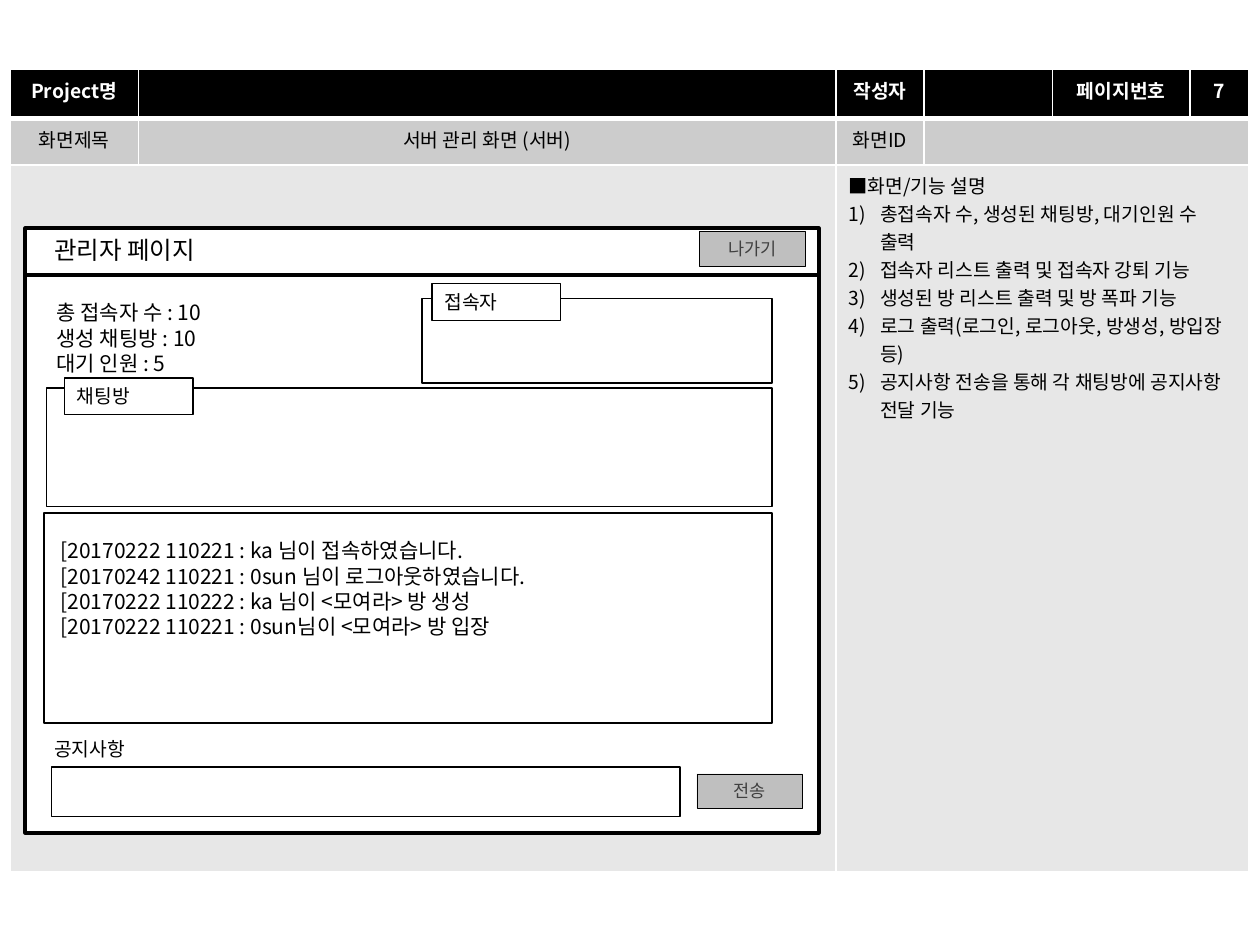
from lxml import etree
from pptx import Presentation
from pptx.dml.color import RGBColor
from pptx.enum.shapes import MSO_CONNECTOR, MSO_SHAPE
from pptx.enum.text import MSO_ANCHOR, PP_ALIGN
from pptx.oxml.ns import qn
from pptx.util import Cm, Pt

RECTANGLE = MSO_SHAPE.RECTANGLE
STRAIGHT = MSO_CONNECTOR.STRAIGHT
LEFT, CENTER = PP_ALIGN.LEFT, PP_ALIGN.CENTER
TOP, MIDDLE = MSO_ANCHOR.TOP, MSO_ANCHOR.MIDDLE


class Theme:
    font = "Noto Sans CJK KR"
    black = RGBColor(0x00, 0x00, 0x00)
    white = RGBColor(0xFF, 0xFF, 0xFF)
    heading_fill = RGBColor(0xCC, 0xCC, 0xCC)
    body_fill = RGBColor(0xE7, 0xE7, 0xE7)
    button_fill = RGBColor(0xBF, 0xBF, 0xBF)
    button_text = RGBColor(0x40, 0x40, 0x40)
    title_size, text_size, label_size, button_size = 14, 12, 11, 10
    line_factor = 1.2


def write(frame, lines, size, color=Theme.black, align=LEFT, bold=False, spacing=None):
    """Put each line in its own paragraph; spacing is a multiple of the type size."""
    frame.word_wrap = True
    for index, line in enumerate(lines):
        para = frame.paragraphs[0] if index == 0 else frame.add_paragraph()
        para.alignment = align
        if spacing:
            para.line_spacing = Pt(size * spacing)
        span = para.add_run()
        span.text = line
        span.font.name = Theme.font
        span.font.size = Pt(size)
        span.font.bold = bold
        span.font.color.rgb = color
        east_asian = etree.SubElement(span.font._element, qn("a:ea"))
        east_asian.set("typeface", Theme.font)


def add_box(shapes, area, fill=None, line_width=None):
    box = shapes.add_shape(RECTANGLE, *[Cm(length) for length in area])
    box.shadow.inherit = False
    if fill is None:
        box.fill.background()
    else:
        box.fill.solid()
        box.fill.fore_color.rgb = fill
    box.line.color.rgb = Theme.black
    box.line.width = Pt(line_width)
    box.text_frame.vertical_anchor = TOP
    return box


deck = Presentation()
deck.slide_width, deck.slide_height = Cm(25.4), Cm(19.05)
slide = deck.slides.add_slide(deck.slide_layouts[6])
shapes = slide.shapes

# Specification table
column_widths = [2.59, 14.06, 1.78, 2.59, 2.77, 1.19]
row_heights = [0.99, 0.94, 14.24]
table = shapes.add_table(
    3, 6, Cm(0.2), Cm(1.4), Cm(sum(column_widths)), Cm(sum(row_heights))
).table
for column, width in zip(table.columns, column_widths):
    column.width = Cm(width)
for row, height in zip(table.rows, row_heights):
    row.height = Cm(height)

description = [
    "■화면/기능 설명",
    "총접속자 수, 생성된 채팅방, 대기인원 수 출력",
    "접속자 리스트 출력 및 접속자 강퇴 기능",
    "생성된 방 리스트 출력 및 방 폭파 기능",
    "로그 출력(로그인, 로그아웃, 방생성, 방입장 등)",
    "공지사항 전송을 통해 각 채팅방에 공지사항 전달 기능",
]
cell_texts = [
    [["Project명"], [], ["작성자"], [], ["페이지번호"], ["7"]],
    [["화면제목"], ["서버 관리 화면 (서버)"], ["화면ID"], [], [], []],
    [[], [], description, [], [], []],
]
row_styles = [
    (Theme.black, Theme.white, CENTER, True, 3),
    (Theme.heading_fill, Theme.black, CENTER, False, 1),
    (Theme.body_fill, Theme.black, LEFT, False, 1),
]
for row, texts, style in zip(table.rows, cell_texts, row_styles):
    fill, color, align, bold, bottom_width = style
    for cell, lines in zip(row.cells, texts):
        properties = cell._tc.get_or_add_tcPr()
        for side, width in zip("LRTB", (1, 1, 1, bottom_width)):
            border = etree.SubElement(properties, qn(f"a:ln{side}"), w=str(Pt(width)))
            border_fill = etree.SubElement(border, qn("a:solidFill"))
            etree.SubElement(border_fill, qn("a:srgbClr"), val=str(Theme.white))
        cell.fill.solid()
        cell.fill.fore_color.rgb = fill
        if lines:
            write(cell.text_frame, lines, Theme.label_size, color, align, bold)
        else:
            empty_para = cell.text_frame.paragraphs[0]._p
            etree.SubElement(
                empty_para, qn("a:endParaRPr"), sz=str(Theme.label_size * 100)
            )
# The top border of the second row meets the thick border of the first
for cell in table.rows[1].cells:
    cell._tc.tcPr.find(qn("a:lnT")).set("w", str(Pt(3)))
for first, last in [((1, 3), (1, 5)), ((2, 0), (2, 1)), ((2, 2), (2, 5))]:
    table.cell(*first).merge(table.cell(*last))

for para in table.cell(2, 2).text_frame.paragraphs[1:]:
    para_properties = para._p.get_or_add_pPr()
    para_properties.set("marL", str(Cm(0.64)))
    para_properties.set("indent", str(-Cm(0.64)))
    etree.SubElement(para_properties, qn("a:buAutoNum"), type="arabicParenR")

# Window frame and its title rule
add_box(shapes, (0.51, 4.6, 16, 12.19), Theme.white, 2)
rule = shapes.add_connector(STRAIGHT, Cm(0.51), Cm(5.54), Cm(16.51), Cm(5.54))
rule.line.color.rgb = Theme.black
rule.line.width = Pt(2)
etree.SubElement(rule._element.spPr, qn("a:effectLst"))

# Outlined areas; the log outline and its lines form a group
log_group = shapes.add_group_shape()
add_box(log_group.shapes, (0.89, 10.34, 14.68, 4.24), line_width=1)
for area in [
    (1.04, 15.47, 12.67, 0.99),
    (8.51, 6.02, 7.06, 1.7),
    (0.94, 7.82, 14.63, 2.39),
]:
    add_box(shapes, area, line_width=1)

# Plain text
log_lines = [
    "[20170222 110221 : ka 님이 접속하였습니다.",
    "[20170242 110221 : 0sun 님이 로그아웃하였습니다.",
    "[20170222 110222 : ka 님이 <모여라> 방 생성",
    "[20170222 110221 : 0sun님이 <모여라> 방 입장",
]
counts = ["총 접속자 수 : 10", "생성 채팅방 : 10", "대기 인원 : 5"]
for container, area, lines, size in [
    (shapes, (0.84, 4.62, 10.85, 0.86), ["관리자 페이지"], Theme.title_size),
    (shapes, (0.89, 5.92, 9.8, 2.31), counts, Theme.text_size),
    (log_group.shapes, (0.97, 10.72, 13.79, 3.84), log_lines, Theme.text_size),
    (shapes, (0.84, 14.73, 2.26, 0.74), ["공지사항"], Theme.label_size),
]:
    text_box = container.add_textbox(*[Cm(length) for length in area])
    write(text_box.text_frame, lines, size, spacing=Theme.line_factor)

# Tags on the area outlines
for left, top, label in [(8.71, 5.72, "접속자"), (1.3, 7.62, "채팅방")]:
    tag = add_box(shapes, (left, top, 2.59, 0.74), Theme.white, 0.75)
    write(tag.text_frame, [label], Theme.label_size, spacing=Theme.line_factor)

# Buttons
for left, top, label in [(14.1, 4.67, "나가기"), (14.05, 15.6, "전송")]:
    button = add_box(shapes, (left, top, 2.13, 0.69), Theme.button_fill, 0.25)
    frame = button.text_frame
    frame.vertical_anchor = MIDDLE
    frame.margin_left = frame.margin_right = Cm(0.13)
    frame.margin_top = frame.margin_bottom = Cm(0.13)
    write(frame, [label], Theme.button_size, Theme.button_text, CENTER)

deck.save("out.pptx")
